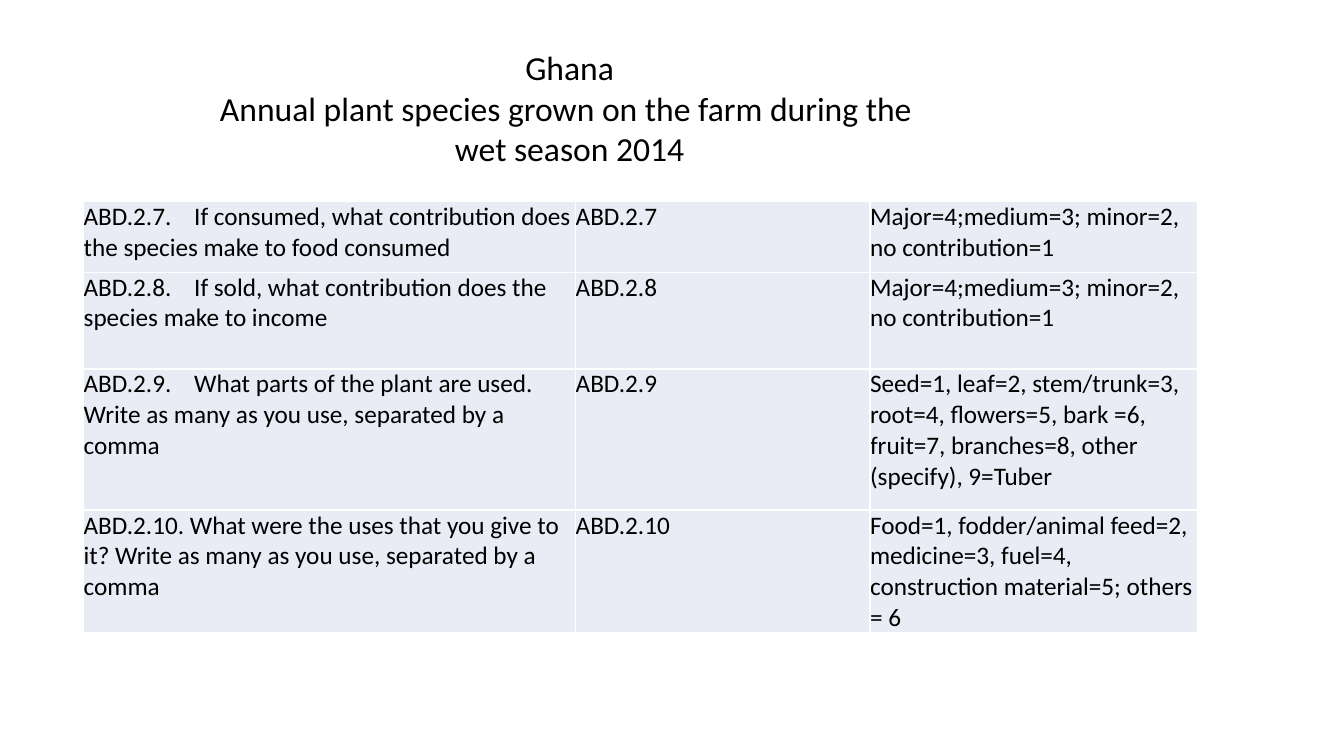
from lxml.etree import SubElement
from pptx import Presentation
from pptx.dml.color import RGBColor
from pptx.enum.text import MSO_ANCHOR as Anchor, MSO_AUTO_SIZE as AutoSize, PP_ALIGN as Align
from pptx.oxml.ns import qn
from pptx.util import Inches, Pt

FONT = "Calibri"
BLACK, WHITE, PALE_BLUE = "000000", "FFFFFF", "E9EBF5"
TITLE_ONLY = 5
TITLE_LINES = [
    "Ghana",
    "Annual plant species grown on the farm during the ",
    "wet season 2014",
]
CONTRIBUTION_CODES = "Major=4;medium=3; minor=2, no contribution=1"
COLUMN_WIDTHS = [4.88, 2.92, 3.25]
QUESTIONS = [
    (0.7, "ABD.2.7.    If consumed, what contribution does the species make to food consumed",
     "ABD.2.7", CONTRIBUTION_CODES),
    (0.96, "ABD.2.8.    If sold, what contribution does the species make to income",
     "ABD.2.8", CONTRIBUTION_CODES),
    (1.4, "ABD.2.9.    What parts of the plant are used. Write as many as you use, separated by a comma",
     "ABD.2.9",
     "Seed=1, leaf=2, stem/trunk=3, root=4, flowers=5, bark =6, fruit=7, branches=8, other (specify), 9=Tuber"),
    (1.22, "ABD.2.10. What were the uses that you give to it? Write as many as you use, separated by a comma",
     "ABD.2.10",
     "Food=1, fodder/animal feed=2, medicine=3, fuel=4, construction material=5; others = 6"),
]


def color(value):
    """Turn a hex string into a colour."""
    return RGBColor.from_string(value)


def add_run(paragraph, text, size):
    """Add one formatted run to a paragraph."""
    run = paragraph.add_run()
    run.text = text
    run.font.name = FONT
    run.font.size = Pt(size)
    run.font.color.rgb = color(BLACK)


def fill_title(title):
    """Place the title and write its centred lines."""
    title.left, title.top = Inches(2.05), Inches(0.42)
    title.width, title.height = Inches(7.2), Inches(1.31)
    frame = title.text_frame
    frame.word_wrap = False
    frame.auto_size = AutoSize.SHAPE_TO_FIT_TEXT
    frame.vertical_anchor = Anchor.TOP
    for index, line in enumerate(TITLE_LINES):
        paragraph = frame.add_paragraph() if index else frame.paragraphs[0]
        paragraph.alignment = Align.CENTER
        add_run(paragraph, line, 24)


def add_borders(cell):
    """Draw a thin white line on each side of a cell."""
    properties = cell._tc.get_or_add_tcPr()
    for side in ("a:lnL", "a:lnR", "a:lnT", "a:lnB"):
        line = SubElement(properties, qn(side), w=str(Pt(1)))
        fill = SubElement(line, qn("a:solidFill"))
        SubElement(fill, qn("a:srgbClr"), val=WHITE)


def fill_cell(cell, text):
    """Write and format one table cell."""
    cell.margin_left = cell.margin_right = cell.margin_top = cell.margin_bottom = 0
    add_borders(cell)
    cell.fill.solid()
    cell.fill.fore_color.rgb = color(PALE_BLUE)
    add_run(cell.text_frame.paragraphs[0], text, 18)


def add_question_table(slide):
    """Add the table of survey questions and answer codes."""
    heights = [question[0] for question in QUESTIONS]
    table = slide.shapes.add_table(
        len(QUESTIONS), len(COLUMN_WIDTHS), Inches(0.83), Inches(2),
        Inches(sum(COLUMN_WIDTHS)), Inches(sum(heights))).table
    table.first_row = table.horz_banding = False
    for column, width in zip(table.columns, COLUMN_WIDTHS):
        column.width = Inches(width)
    for row, (height, *texts) in zip(table.rows, QUESTIONS):
        row.height = Inches(height)
        for cell, text in zip(row.cells, texts):
            fill_cell(cell, text)


def main():
    """Build the slide and save it."""
    presentation = Presentation()
    presentation.slide_width, presentation.slide_height = Inches(13.33), Inches(7.5)
    slide = presentation.slides.add_slide(presentation.slide_layouts[TITLE_ONLY])
    fill_title(slide.shapes.title)
    add_question_table(slide)
    presentation.save("out.pptx")


if __name__ == "__main__":
    main()
